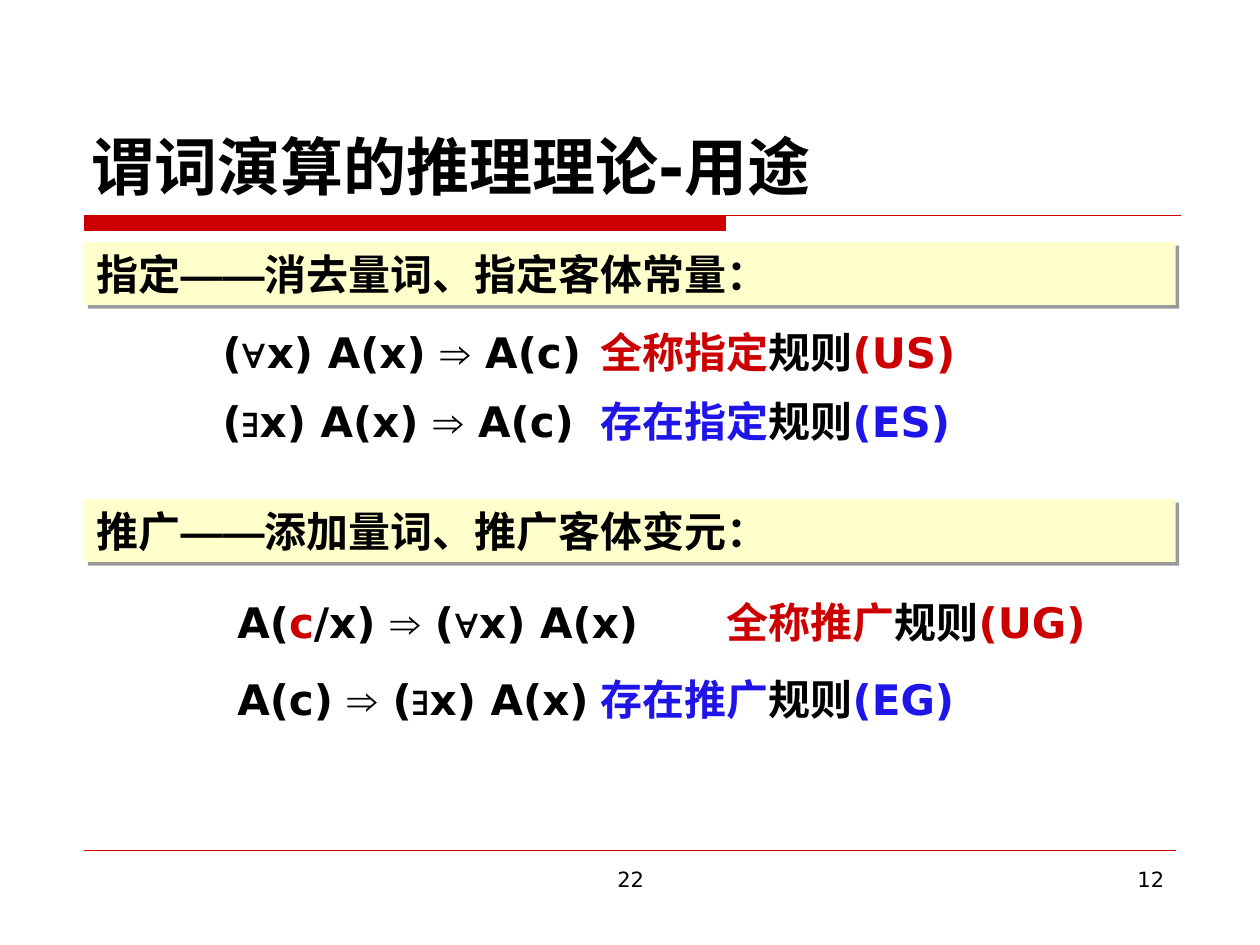
from itertools import groupby

from lxml import etree
from pptx import Presentation
from pptx.dml.color import RGBColor
from pptx.enum.shapes import MSO_CONNECTOR, MSO_SHAPE
from pptx.enum.text import MSO_ANCHOR, MSO_AUTO_SIZE, PP_ALIGN
from pptx.oxml import parse_xml
from pptx.oxml.ns import nsdecls, qn
from pptx.util import Cm, Pt

BLACK, RED, BLUE, CREAM = "000000", "CC0000", "1F15E9", "FFFFCC"
SYMBOLS = "∀∃⇒—"


def color(value):
    """Turn a hex string into a colour."""
    return RGBColor.from_string(value)


def write(shape, segments, size=24, bold=True, align=PP_ALIGN.LEFT,
          anchor=MSO_ANCHOR.TOP, before=0, grow=False):
    """Write (text, colour) segments, with logic symbols in their own font."""
    frame = shape.text_frame
    frame.word_wrap = True
    frame.vertical_anchor = anchor
    frame.auto_size = MSO_AUTO_SIZE.SHAPE_TO_FIT_TEXT if grow else MSO_AUTO_SIZE.NONE
    paragraph = frame.paragraphs[0]
    paragraph.alignment = align
    paragraph.space_before = Pt(before)
    tabs = etree.SubElement(paragraph._p.get_or_add_pPr(), qn("a:tabLst"))
    for inch in range(8):
        etree.SubElement(tabs, qn("a:tab"), pos=str(Cm(2.54 * inch)), algn="l")
    for text, text_color in segments:
        for is_symbol, characters in groupby(text, lambda character: character in SYMBOLS):
            run = paragraph.add_run()
            run.text = "".join(characters)
            font = run.font
            font.name = "Arial" if is_symbol else "DejaVu Sans"
            font.size, font.bold = Pt(size), bold
            font.color.rgb = color(text_color)
            east_asian = etree.SubElement(run._r.get_or_add_rPr(), qn("a:ea"))
            east_asian.set("typeface", font.name)


class SlideBuilder:
    """Holds the current slide and its style."""

    left, width, row_height = 1.7, 22.0, 1.27

    def __init__(self, slide):
        """Keep the slide to draw on."""
        self.slide = slide
        self.shapes = slide.shapes

    def text(self, x, y, width, height, segments, **style):
        """Add a text box."""
        shape = self.shapes.add_textbox(Cm(x), Cm(y), Cm(width), Cm(height))
        write(shape, segments, **style)

    def rule(self, y):
        """Add a hairline across the content width."""
        line = self.shapes.add_connector(MSO_CONNECTOR.STRAIGHT, Cm(self.left), Cm(y),
                                         Cm(self.left + self.width), Cm(y))
        line.line.color.rgb = color(RED)
        line.line.width = Pt(0.26)
        etree.SubElement(line._element.spPr, qn("a:effectLst"))

    def title_bar(self, y, thick_end, thin_end, height):
        """Add the thick bar that runs on as a thin line."""
        left, top, middle, bottom = Cm(self.left), Cm(y), Cm(thick_end), Cm(y + height)
        builder = self.shapes.build_freeform(left, top)
        builder.add_line_segments([(middle, top), (middle, bottom), (left, bottom)], close=True)
        builder.move_to(left, top)
        builder.add_line_segments([(Cm(thin_end), top)], close=False)
        bar = builder.convert_to_shape()
        bar.shadow.inherit = False
        bar.fill.solid()
        bar.fill.fore_color.rgb = color(RED)
        bar.line.color.rgb = color(RED)
        bar.line.width = Pt(0.74)

    def banner(self, y, text):
        """Add a cream heading band with a soft offset shadow."""
        band = self.shapes.add_shape(MSO_SHAPE.RECTANGLE, Cm(self.left), Cm(y),
                                     Cm(self.width), Cm(self.row_height))
        band.fill.solid()
        band.fill.fore_color.rgb = color(CREAM)
        band.line.fill.background()
        band._element.spPr.append(parse_xml(
            f'<a:effectLst {nsdecls("a")}><a:outerShdw dist="{Pt(3)}" dir="2700000" '
            'algn="ctr" rotWithShape="0"><a:srgbClr val="000000"><a:alpha val="40000"/>'
            '</a:srgbClr></a:outerShdw></a:effectLst>'))
        write(band, [(text, BLACK)], before=6, grow=True)

    def law(self, y, formula, name, code, accent):
        """Add a formula followed by the name of its rule."""
        segments = formula + [("\t", BLACK), (name, accent), ("规则", BLACK), (code, accent)]
        self.text(self.left, y, 22.2, self.row_height, segments, before=6, grow=True)


presentation = Presentation()
presentation.slide_width, presentation.slide_height = Cm(25.4), Cm(19.05)
builder = SlideBuilder(presentation.slides.add_slide(presentation.slide_layouts[6]))

builder.title_bar(4.34, thick_end=14.63, thin_end=23.8, height=0.3)
builder.rule(17.15)
for x, width, number, align in [(8.69, 8.05, "22", PP_ALIGN.CENTER),
                                (18.21, 5.51, "12", PP_ALIGN.RIGHT)]:
    builder.text(x, 17.35, width, 1.32, [(number, BLACK)], size=12, bold=False, align=align)
builder.text(1.6, 0.84, 22.23, 3.38, [("谓词演算的推理理论-用途", BLACK)],
             size=36, anchor=MSO_ANCHOR.BOTTOM)

builder.banner(4.88, "指定——消去量词、指定客体常量：")
builder.banner(10.06, "推广——添加量词、推广客体变元：")

laws = [
    (6.45, [("\t(∀x) A(x) ⇒ A(c)", BLACK)], "全称指定", "(US)", RED),
    (7.85, [("\t(∃x) A(x) ⇒ A(c)", BLACK)], "存在指定", "(ES)", BLUE),
    (11.91, [("\t A(", BLACK), ("c", RED), ("/x) ⇒ (∀x) A(x)", BLACK)],
     "全称推广", "(UG)", RED),
    (13.46, [("\t A(c) ⇒ (∃x) A(x)", BLACK)], "存在推广", "(EG)", BLUE),
]
for law in laws:
    builder.law(*law)

presentation.save("out.pptx")
